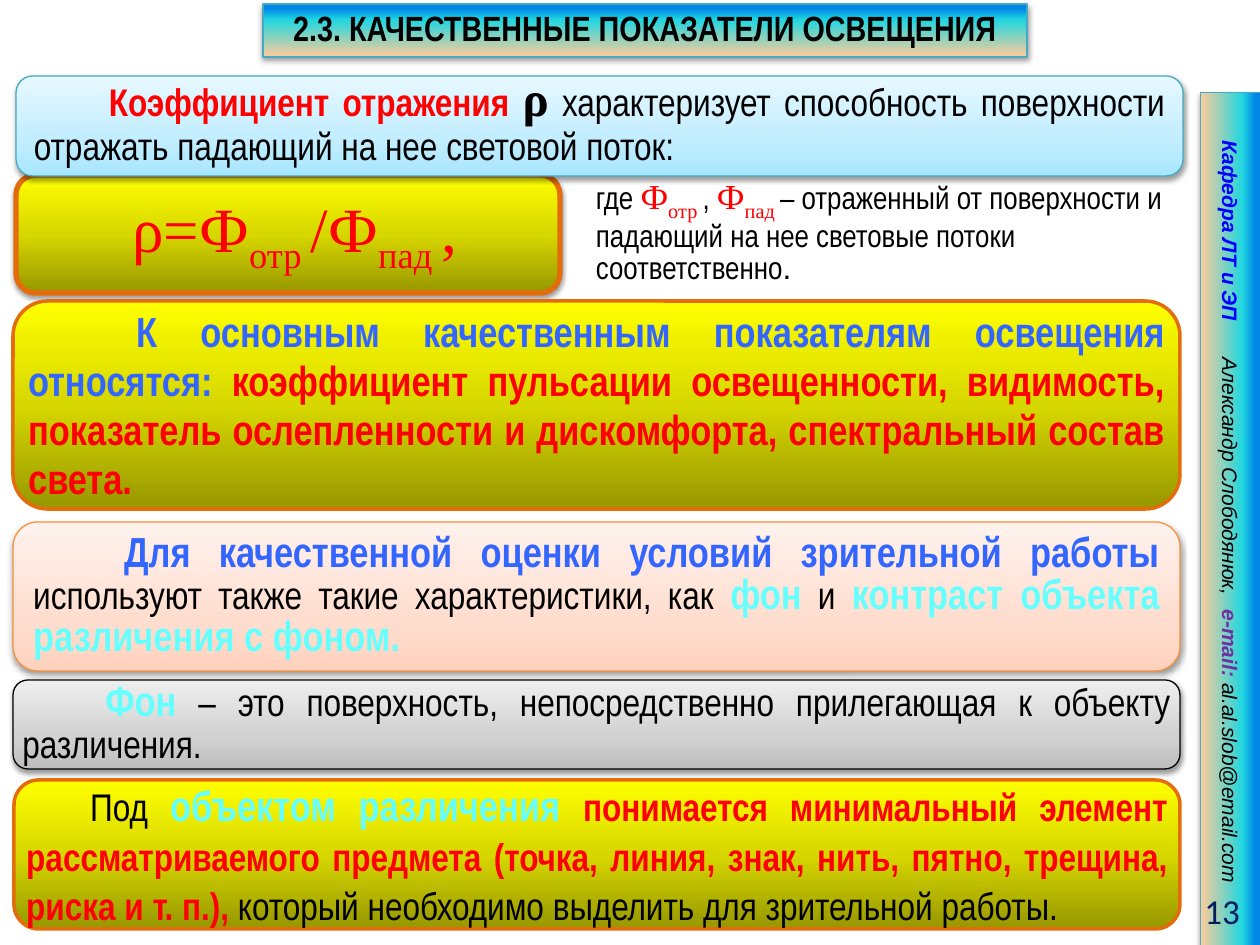
from copy import deepcopy

from lxml.etree import SubElement
from pptx import Presentation
from pptx.dml.color import RGBColor
from pptx.enum.shapes import MSO_SHAPE
from pptx.enum.text import MSO_ANCHOR, MSO_AUTO_SIZE, PP_ALIGN
from pptx.oxml.ns import qn
from pptx.util import Pt

SCALE = 7257
HEX = {
    "black": "000000", "red": "FF0000", "blue": "3366FF", "cyan": "66FFFF",
    "link": "0000FF", "purple": "7030A0", "navy": "002060",
    "teal": "46AAC5", "orange": "E46C0A", "peach": "F69240",
}
GRADS = {
    "sea": [(0, "FFCC99"), (70, "21D6E0"), (91, "0087E6")],
    "gold": [(0, "979700"), (50, "D7D700"), (100, "FFFF00")],
    "sky": [(0, "A7E6FF"), (35, "C1EDFF"), (100, "E7F8FF")],
    "rose": [(0, "FFD2BD"), (35, "FFDED0"), (100, "FFF2ED")],
    "gray": [(0, "BDBDBD"), (35, "D1D1D1"), (100, "EEEEEE")],
}
EDGES = {"red": (0.07, 55), "blue": (1, 100), "cyan": (1, 100)}
SANS, SLIM, SERIF = "Arial", "Arial Narrow", "Times New Roman"
STYLES = {
    "head": (SLIM, 20, "black", "b"),
    "note": (SLIM, 18, "black", ""),
    "dot": (SANS, 18, "black", ""),
    "flux": (SERIF, 20, "red", ""),
    "flux sub": (SERIF, 20, "red", "s"),
    "ratio": (SERIF, 36, "red", ""),
    "ratio sub": (SERIF, 36, "red", "s"),
    "rho": (SERIF, 28, "black", "b"),
    "plain": (SLIM, 22, "black", ""),
    "term": (SLIM, 22, "red", "b"),
    "big term": (SLIM, 24, "red", "b"),
    "lead": (SLIM, 24, "blue", "b"),
    "key": (SLIM, 24, "cyan", "b"),
    "dept": (SANS, 12, "link", "bi"),
    "name": (SANS, 12, "black", "i"),
    "mail": (SANS, 12, "purple", "bi"),
    "page": ("Calibri", 20, "navy", ""),
}
CARDS = [
    ((16, 175, 544, 118), "gold", "orange", 3, True, (19, 5), PP_ALIGN.CENTER, 0, 48, [
        ("ρ=Ф", "ratio"), ("отр ", "ratio sub"), ("/Ф", "ratio"),
        ("пад ", "ratio sub"), (",", "ratio")]),
    ((16, 76, 1167, 100), "sky", "teal", 0.75, True, (13, 6), PP_ALIGN.JUSTIFY, 75, 24, [
        ("Коэффициент отражения ", "term"), ("ρ", "rho"),
        (" характеризует способность поверхности отражать падающий на нее "
         "световой поток:", "plain")]),
    ((13, 301, 1167, 208), "gold", "orange", 2, False, (5, 5), PP_ALIGN.JUSTIFY, 108, 28, [
        ("К основным качественным показателям освещения относятся: ", "lead"),
        ("коэффициент пульсации освещенности, видимость, показатель ослепленности "
         "и дискомфорта, спектральный состав света.", "big term")]),
    ((13, 522, 1167, 149), "rose", "peach", 0.75, True, (13, 6), PP_ALIGN.JUSTIFY, 91, 24, [
        ("Для качественной оценки условий зрительной работы ", "lead"),
        ("используют также такие характеристики, как ", "plain"), ("фон", "key"),
        (" и ", "plain"), ("контраст объекта различения с фоном.", "key")]),
    ((13, 680, 1167, 89), "gray", "black", 0.75, True, (5, 5), PP_ALIGN.JUSTIFY, 83, 24, [
        ("Фон", "key"),
        (" – это поверхность, непосредственно прилегающая к объекту различения.", "plain")]),
    ((14, 780, 1166, 149), "gold", "orange", 2, False, (5, 5), PP_ALIGN.JUSTIFY, 64, 28, [
        ("Под ", "plain"), ("объектом различения ", "key"),
        ("понимается минимальный элемент рассматриваемого предмета (точка, линия, "
         "знак, нить, пятно, трещина, риска и т. п.), ", "term"),
        ("который необходимо выделить для зрительной работы.", "plain")]),
]


def px(num):
    """Turn pixels into EMU."""
    return num * SCALE


def place(shape, box):
    """Put a shape in its box."""
    shape.left, shape.top, shape.width, shape.height = map(px, box)


def solid(node, color, alpha):
    """Add a colour with an opacity in percent."""
    tone = SubElement(node, qn("a:srgbClr"), val=HEX[color])
    SubElement(tone, qn("a:alpha"), val=str(alpha * 1000))


def paint(shape, grad, line, width, shade):
    """Give a shape its gradient, border and shadow."""
    fill = shape.fill
    fill.gradient()
    fill.gradient_angle = 90
    props = shape.element.spPr
    stops = props.find(qn("a:gradFill")).find(qn("a:gsLst"))
    stops.append(deepcopy(stops[0]))
    for stop, (pos, tone) in zip(fill.gradient_stops, GRADS[grad]):
        stop.position = pos / 100
        stop.color.rgb = RGBColor.from_string(tone)
    shape.line.color.rgb = RGBColor.from_string(HEX[line])
    shape.line.width = Pt(width)
    shape.shadow.inherit = False
    if shade:
        glow = SubElement(props.find(qn("a:effectLst")), qn("a:outerShdw"),
                          blurRad=str(Pt(3.1)), dist=str(Pt(1.6)),
                          dir="5400000", rotWithShape="0")
        solid(glow, "black", 38)


def style(run, key):
    """Format a run by the name of its style."""
    face, size, color, marks = STYLES[key]
    font = run.font
    font.name, font.size = face, Pt(size)
    font.bold, font.italic = "b" in marks, "i" in marks
    font.color.rgb = RGBColor.from_string(HEX[color])
    props = run._r.get_or_add_rPr()
    if "s" in marks:
        props.set("baseline", "-25000")
    if color in EDGES:
        width, alpha = EDGES[color]
        edge = SubElement(props, qn("a:ln"), w=str(Pt(width)))
        solid(SubElement(edge, qn("a:solidFill")), "black", alpha)
        props.insert(0, edge)


def write(shape, runs, align, pads=(13, 6), indent=0, space=None, tabs=(),
          anchor=MSO_ANCHOR.MIDDLE):
    """Fill a shape with one paragraph of styled runs."""
    frame = shape.text_frame
    frame.word_wrap, frame.auto_size = True, MSO_AUTO_SIZE.NONE
    frame.vertical_anchor = anchor
    frame.margin_left = px(pads[0])
    frame.margin_right = px(min(pads[0], 13) if pads[1] == 6 else pads[1])
    frame.margin_top = frame.margin_bottom = px(pads[1])
    par = frame.paragraphs[0]
    par.alignment = align
    props = par._p.get_or_add_pPr()
    props.set("marL", "0")
    props.set("indent", str(px(indent)))
    if space:
        par.line_spacing = Pt(space)
    if tabs:
        stops = SubElement(props, qn("a:tabLst"))
        for tab in tabs:
            SubElement(stops, qn("a:tab"), pos=str(px(tab)), algn="l")
    for text, key in runs:
        run = par.add_run()
        run.text = text
        style(run, key)


def title(slide):
    """Shape the title placeholder as a rounded banner."""
    shape = slide.shapes.title
    place(shape, (263, 4, 764, 53))
    geom = SubElement(shape.element.spPr, qn("a:prstGeom"), prst="roundRect")
    SubElement(geom, qn("a:avLst"))
    paint(shape, "sea", "teal", 0.75, True)
    write(shape, [("2.3. КАЧЕСТВЕННЫЕ ПОКАЗАТЕЛИ ОСВЕЩЕНИЯ", "head")],
          PP_ALIGN.CENTER, (5, 5), space=20)


def side(slide):
    """Draw the turned bar with the author's details."""
    shape = slide.shapes.add_shape(MSO_SHAPE.RECTANGLE, *map(px, (804, 489, 853, 60)))
    shape.rotation = 90
    paint(shape, "sea", "teal", 0.75, True)
    write(shape, [("Кафедра ЛТ и ЭП\t", "dept"), ("Александр Слободянюк,\t", "name"),
                  ("e-mail: ", "mail"), ("al.al.slob@email.com", "name")],
          PP_ALIGN.LEFT, indent=35, tabs=(268, 518))


def card(slide, box, grad, line, width, shade, pads, align, indent, space, runs):
    """Draw a rounded card with its text."""
    shape = slide.shapes.add_shape(MSO_SHAPE.ROUNDED_RECTANGLE, *map(px, box))
    paint(shape, grad, line, width, shade)
    write(shape, runs, align, pads, indent, space)


def label(slide, box, runs, align, **more):
    """Add a free text box."""
    write(slide.shapes.add_textbox(*map(px, box)), runs, align, **more)


def main():
    """Build and save the slide."""
    deck = Presentation()
    deck.slide_width, deck.slide_height = px(1260), px(945)
    slide = deck.slides.add_slide(deck.slide_layouts[5])
    title(slide)
    side(slide)
    label(slide, (1116, 886, 137, 50), [("13", "page")], PP_ALIGN.RIGHT)
    label(slide, (583, 185, 595, 108), [
        ("где ", "note"), ("Ф", "flux"), ("отр ", "flux sub"), (", ", "note"),
        ("Ф", "flux"), ("пад ", "flux sub"),
        ("– отраженный от поверхности и падающий на нее световые потоки "
         "соответственно", "note"), (".", "dot")],
        PP_ALIGN.LEFT, space=18, anchor=MSO_ANCHOR.TOP)
    for item in CARDS:
        card(slide, *item)
    deck.save("out.pptx")


if __name__ == "__main__":
    main()
